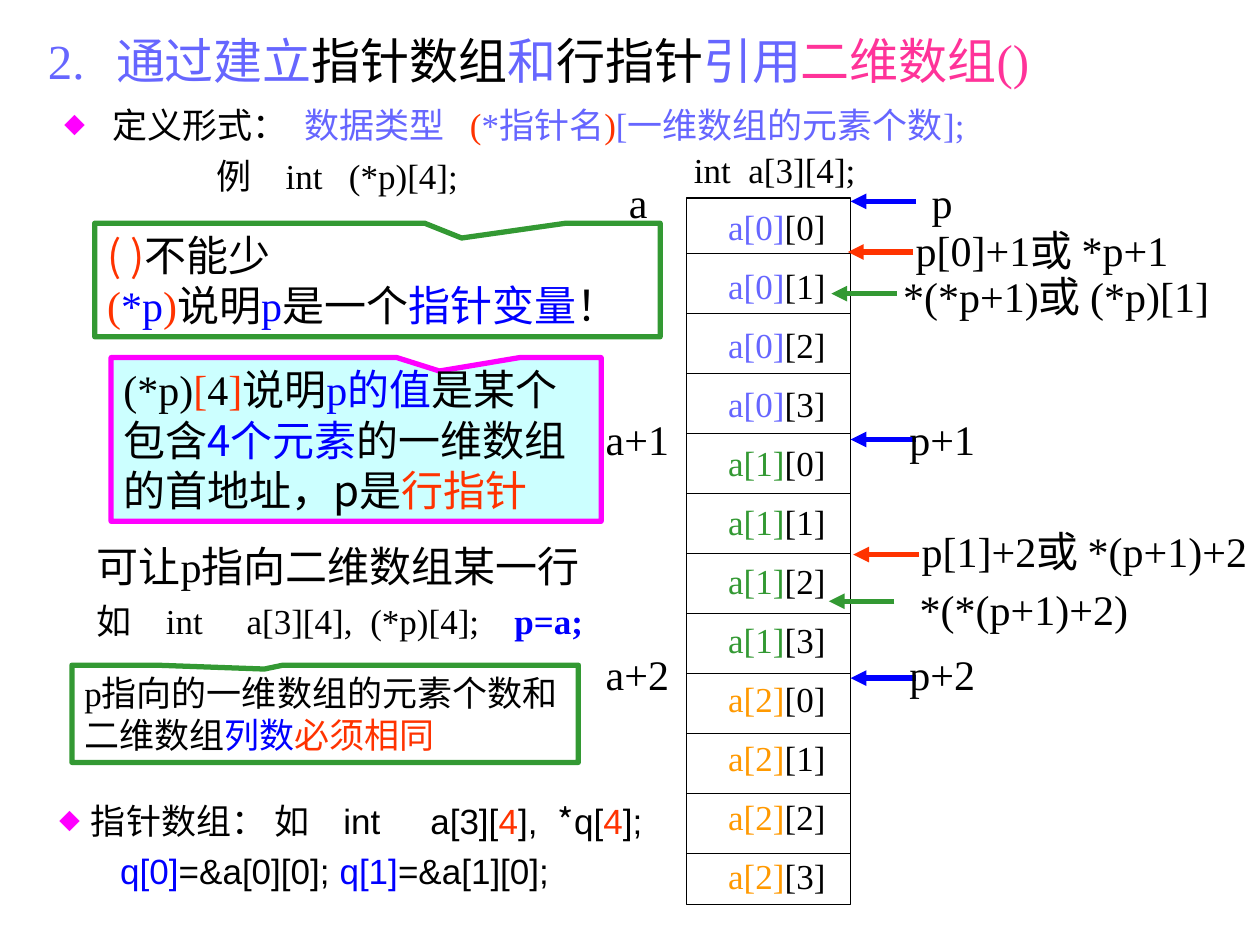
from lxml.etree import SubElement
from pptx import Presentation
from pptx.dml.color import RGBColor
from pptx.enum.shapes import MSO_CONNECTOR, MSO_SHAPE
from pptx.enum.text import MSO_ANCHOR, MSO_AUTO_SIZE, PP_ALIGN
from pptx.oxml.ns import qn
from pptx.util import Cm, Pt

HUES = {
    "ink": "000000", "blue": "0000FF", "red": "FF3300", "green": "339933",
    "soft": "6666FF", "pink": "FF3399", "gold": "FF9900",
    "rose": "FF00FF", "sky": "CCFFFF",
}
SERIF, SANS, HAN, STAR = "Times New Roman", "Arial", "Noto Sans CJK SC", "Noto Sans CJK KR"

TITLE = [dict(size=28, runs=[
    ("2.", "soft"), 16, ("通过建立", "soft"), ("指针数组", "ink"), ("和", "soft"),
    ("行指针", "ink"), ("引用", "soft"), ("二维数组()", "pink")])]

FORM = [
    dict(mark=True, left=0.97, before=5, runs=[
        ("定义形式：", "ink"), 10, ("数据类型", "soft"), 15, ("(", "red"),
        ("*指针名", "soft"), (")", "red"), ("[一维数组的元素个数];", "soft")]),
    dict(left=3.07, before=5, runs=[
        ("例", "ink"), 20, ("int", "ink"), 15, ("(*p)[4];", "ink")]),
]

ARRAY = [
    dict(mark=True, left=0.64, before=5, font=SANS, runs=[
        ("指针数组：", "ink"), 5, ("如", "ink"), 20, ("int", "ink"), 28,
        ("a[3][", "ink"), ("4", "red"), ("],", "ink"), 11, ("*", "ink", STAR),
        ("q[", "ink"), ("4", "red"), ("];", "ink")]),
    dict(left=1.23, before=5, font=SANS, runs=[
        ("q[0]", "blue"), ("=&a[0][0]; ", "ink"),
        ("q[1]", "blue"), ("=&a[1][0];", "ink")]),
]

ROW = [
    dict(size=24, before=6, runs=[("可让p指向二维数组某一行", "ink")]),
    dict(before=5, runs=[
        ("如", "ink"), 20, ("int", "ink"), 25, ("a[3][4],", "ink"), 10,
        ("(*p)[4];", "ink"), 20, ("p=a;", "blue", SERIF, True)]),
]

CALLS = [
    ((1.91, 4.5, 11.4, 2.29), (0.149, -0.369), None, "green", False, [
        dict(size=24, font=HAN, runs=[("( )", "red"), ("不能少", "ink")]),
        dict(size=24, runs=[
            ("(", "red"), ("*p", "blue"), (")", "red"), ("说明", "ink"), ("p", "blue"),
            ("是一个", "ink"), ("指针变量", "blue"), ("！", "ink")])]),
    ((2.24, 7.21, 9.88, 3.3), (0.17, -0.418), "sky", "rose", True, [
        dict(size=24, runs=[
            ("(*p)", "ink"), ("[", "red"), ("4", "ink"), ("]", "red"), ("说明", "ink"),
            ("p", "blue"), ("的值", "blue"), ("是某个包含", "ink"),
            ("4个元素", "blue", HAN), ("的一维数组的首地址，p是", "ink", HAN),
            ("行指针", "red")])]),
    ((1.45, 13.41, 10.21, 1.96), (-0.12, -0.46), None, "green", False, [
        dict(runs=[("p指向的一维数组的元素个数和", "ink")]),
        dict(runs=[("二维数组", "ink"), ("列数", "blue"), ("必须相同", "red")])]),
]

HEAD = [dict(runs=[("int", "ink"), 10, ("a[3][4];", "ink")])]
BANDS = ["soft", "green", "gold"]
COLS = 4
GRID = (13.84, 3.99, 3.3, 14.25)

TAGS = [
    ("a", 12.42, 3.43, 0.89), ("a+1", 11.96, 8.2, 1.78), ("a+2", 11.96, 12.95, 1.78),
    ("p", 18.54, 3.43, 0.91), ("p+1", 18.08, 8.2, 1.83), ("p+2", 18.08, 12.95, 1.83),
    ("p[0]+1或 *p+1", 17.88, 4.39, 6.25), ("p[1]+2或 *(p+1)+2", 18.01, 10.46, 7.7),
    ("*(*p+1)或 (*p)[1]", 17.63, 5.33, 7.32), ("*(*(p+1)+2)", 18.19, 11.63, 4.9),
]

ARROWS = [
    (17.15, 4.06, "blue"), (17.15, 8.86, "blue"), (17.15, 13.67, "blue"),
    (17.09, 5.08, "red"), (17.2, 11.18, "red"),
    (16.76, 5.92, "green"), (16.71, 12.12, "green"),
]


def hue(name):
    return RGBColor.from_string(HUES[name])


def bullet(para, mark, left):
    props = para._p.get_or_add_pPr()
    props.set("marL", str(Cm(left)))
    props.set("indent", str(-Cm(left) if mark else 0))
    if not mark:
        SubElement(props, qn("a:buNone"))
        return
    tint = SubElement(props, qn("a:buClr"))
    SubElement(tint, qn("a:srgbClr")).set("val", HUES["rose"])
    SubElement(props, qn("a:buSzPct")).set("val", "60000")
    SubElement(props, qn("a:buFont")).set("typeface", HAN)
    SubElement(props, qn("a:buChar")).set("char", "◆")


def write(frame, paras, wrap=True, anchor=MSO_ANCHOR.TOP, align=PP_ALIGN.LEFT):
    frame.auto_size = MSO_AUTO_SIZE.NONE
    frame.word_wrap = wrap
    frame.vertical_anchor = anchor
    for i, item in enumerate(paras):
        para = frame.add_paragraph() if i else frame.paragraphs[0]
        para.alignment = align
        para.space_before = Pt(item.get("before", 0))
        bullet(para, item.get("mark", False), item.get("left", 0))
        para.font.size = Pt(item.get("size", 20))
        para.font.name = item.get("font", SERIF)
        base = para._p.pPr.find(qn("a:defRPr"))
        SubElement(base, qn("a:ea")).set("typeface", HAN)
        for part in item["runs"]:
            run = para.add_run()
            if isinstance(part, int):
                run.text = " "
                run._r.get_or_add_rPr().set("spc", str((part - 5) * 100))
                continue
            run.text = part[0]
            run.font.color.rgb = hue(part[1])
            if len(part) > 2:
                run.font.name = part[2]
            if len(part) > 3:
                run.font.bold = part[3]


def place(shape, box):
    shape.left, shape.top, shape.width, shape.height = map(Cm, box)


def label(shapes, box, paras, **look):
    write(shapes.add_textbox(*map(Cm, box)).text_frame, paras, **look)


def block(shapes, kind, box, fill, edge, width):
    shape = shapes.add_shape(kind, *map(Cm, box))
    shape.shadow.inherit = False
    if fill:
        shape.fill.solid()
        shape.fill.fore_color.rgb = hue(fill)
    else:
        shape.fill.background()
    shape.line.color.rgb = hue(edge)
    shape.line.width = Pt(width)
    return shape


def rule(shapes, ends, color, width, arrow=False):
    line = shapes.add_connector(MSO_CONNECTOR.STRAIGHT, *map(Cm, ends))
    line.line.color.rgb = hue(color)
    line.line.width = Pt(width)
    props = line._element.spPr
    if arrow:
        SubElement(props.find(qn("a:ln")), qn("a:tailEnd")).set("type", "triangle")
    SubElement(props, qn("a:effectLst"))


def main():
    deck = Presentation()
    deck.slide_width, deck.slide_height = Cm(25.4), Cm(19.05)
    slide = deck.slides.add_slide(deck.slide_layouts[3])
    shapes = slide.shapes
    title, form, array = slide.placeholders

    place(title, (0.71, 0.4, 21.59, 1.63))
    write(title.text_frame, TITLE, anchor=MSO_ANCHOR.MIDDLE)
    place(form, (1.04, 1.96, 23.7, 2.08))
    write(form.text_frame, FORM)
    place(array, (0.94, 15.98, 18.8, 2.21))
    write(array.text_frame, ARRAY)

    for box, tip, fill, edge, wrap, paras in CALLS:
        call = block(shapes, MSO_SHAPE.RECTANGULAR_CALLOUT, box, fill, edge, 3)
        call.adjustments[0], call.adjustments[1] = tip
        write(call.text_frame, paras, wrap=wrap, anchor=MSO_ANCHOR.MIDDLE)
    label(shapes, (1.7, 10.77, 10.9, 2.08), ROW)

    label(shapes, (13.74, 2.87, 3.76, 1.12), HEAD, wrap=False)
    block(shapes, MSO_SHAPE.RECTANGLE, GRID, None, "ink", 0.75)
    for i in range(len(BANDS) * COLS):
        row, col = divmod(i, COLS)
        if i:
            y = 5.11 + 1.21 * (i - 1)
            rule(shapes, (GRID[0], y, GRID[0] + GRID[2], y), "ink", 0.75)
        cell = [dict(runs=[(f"a[{row}]", BANDS[row]), (f"[{col}]", "ink")])]
        label(shapes, (14.43, 4.01 + 1.19 * i, 2.46, 1.12), cell, wrap=False)

    for x, y, color in ARROWS:
        rule(shapes, (x + 1.32, y, x, y), color, 3, arrow=True)
    for text, x, y, width in TAGS:
        label(shapes, (x, y, width, 1.27), [dict(size=24, runs=[(text, "ink")])],
              wrap=False, anchor=MSO_ANCHOR.MIDDLE, align=PP_ALIGN.CENTER)

    deck.save("out.pptx")


if __name__ == "__main__":
    main()
